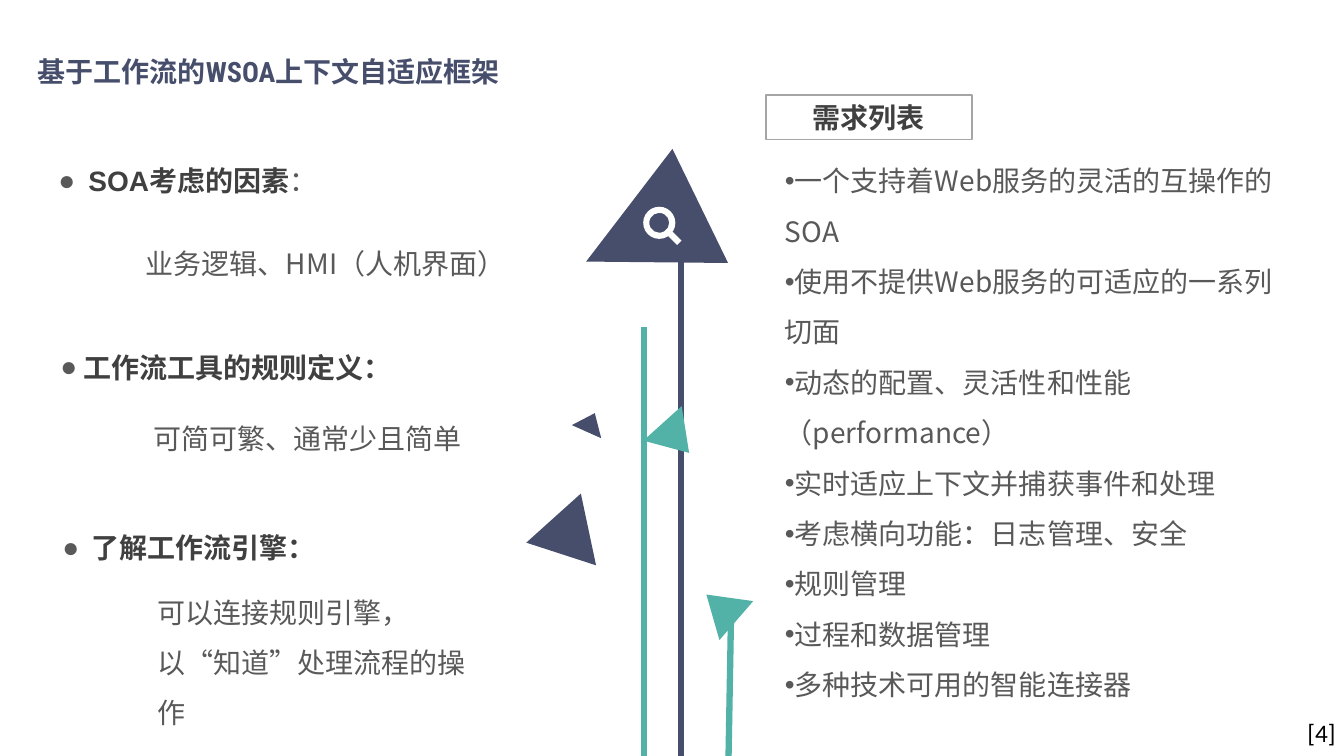
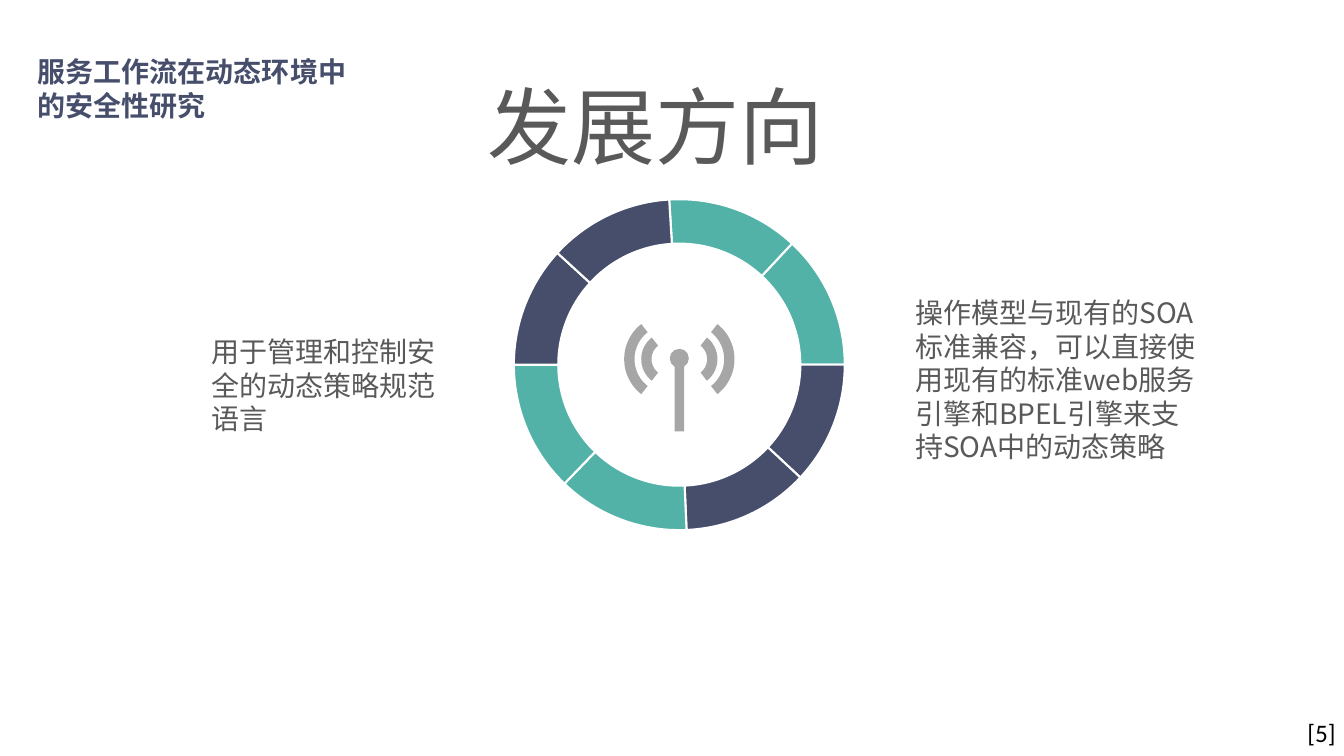
from dataclasses import dataclass
from math import cos, radians, sin

from lxml.etree import SubElement
from pptx import Presentation
from pptx.dml.color import RGBColor
from pptx.enum.shapes import MSO_CONNECTOR, MSO_SHAPE
from pptx.enum.text import MSO_ANCHOR, MSO_AUTO_SIZE, PP_ALIGN
from pptx.oxml.ns import qn
from pptx.util import Cm, Pt


@dataclass(frozen=True)
class Theme:
    """Colours, fonts and type sizes of the deck."""
    navy: str = "464E6C"
    teal: str = "52B2A7"
    ink: str = "404040"
    text: str = "595959"
    black: str = "000000"
    white: str = "FFFFFF"
    edge: str = "A5A5A5"
    icon: str = "A6A6A6"
    cjk: str = "Noto Sans CJK JP"
    title: str = "Roboto Condensed"
    head: str = "Arial"
    plain: str = "Calibri"
    body: int = 20
    page: int = 18
    large: int = 60
    stem: float = 4.5


T = Theme()


def rgb(tone):
    """Turn a hex string into a colour."""
    return RGBColor.from_string(tone)


def style(para, size, tone, face, bold=False):
    """Set the font of a whole paragraph."""
    font = para.font
    font.size, font.bold, font.name = Pt(size), bold, face
    font.color.rgb = rgb(tone)
    SubElement(para._p.pPr.find(qn("a:defRPr")), qn("a:ea"), typeface=T.cjk)


def bullet(para, mark, gap):
    """Give a paragraph a bullet with a hanging indent."""
    props = para._p.get_or_add_pPr()
    props.set("marL", str(Cm(gap)))
    props.set("indent", str(-Cm(gap)))
    tint = SubElement(props, qn("a:buClr"))
    SubElement(tint, qn("a:srgbClr"), val=T.text)
    SubElement(props, qn("a:buFont"), typeface=T.head)
    SubElement(props, qn("a:buChar"), char=mark)


def write(slide, box, lines, size=T.body, tone=T.text, face=T.cjk,
          bold=False, space=None, mark=None, gap=0, wrap=True):
    """Add a text box and return its last paragraph."""
    frame = slide.shapes.add_textbox(*map(Cm, box)).text_frame
    frame.word_wrap = wrap
    frame.auto_size = MSO_AUTO_SIZE.SHAPE_TO_FIT_TEXT
    for i, line in enumerate(lines):
        para = frame.add_paragraph() if i else frame.paragraphs[0]
        para.add_run().text = line
        if space:
            para.line_spacing = space
        if mark:
            bullet(para, mark, gap)
        style(para, size, tone, face, bold)
    return para


def paint(shape, tone):
    """Fill a shape flat, without line or shadow."""
    shape.shadow.inherit = False
    shape.fill.solid()
    shape.fill.fore_color.rgb = rgb(tone)
    shape.line.fill.background()
    return shape


def block(slide, kind, box, tone, turn=0):
    """Add a flat preset shape."""
    shape = paint(slide.shapes.add_shape(kind, *map(Cm, box)), tone)
    shape.rotation = turn
    return shape


def stem(slide, start, end, tone):
    """Draw a thick straight line."""
    line = slide.shapes.add_connector(
        MSO_CONNECTOR.STRAIGHT, *map(Cm, start + end))
    line.line.color.rgb = rgb(tone)
    line.line.width = Pt(T.stem)
    SubElement(line._element.spPr, qn("a:effectLst"))


def arc(slide, mid, inner, outer, start, end, tone):
    """Draw a ring segment, with angles clockwise from the top."""
    steps = 24
    turns = [radians(start + (end - start) * i / steps)
             for i in range(steps + 1)]
    dots = [(Cm(mid[0] + r * sin(a)), Cm(mid[1] - r * cos(a)))
            for r, run in ((outer, turns), (inner, turns[::-1])) for a in run]
    form = slide.shapes.build_freeform(*dots[0])
    form.add_line_segments(dots[1:])
    return paint(form.convert_to_shape(), tone)


def base(deck, title, wide, page):
    """Start a slide with its title and page number."""
    slide = deck.slides.add_slide(deck.slide_layouts[6])
    write(slide, (0.7, 1.25, wide, 1.9), [title], tone=T.navy,
          face=T.title, bold=True)
    write(slide, (32.7, 17.96, 1.22, 1.02), [f"[{page}]"], T.page,
          T.black, T.plain, wrap=False)
    return slide


def tree(slide, left, top):
    """Draw the stems, triangles and magnifier."""
    foot = top + 14.8
    for x, y, low, tone in ((2.73, 3.98, 2.73, T.teal),
                            (3.67, 0.65, 3.67, T.navy),
                            (4.92, 11.4, 4.86, T.teal)):
        stem(slide, (left + low, foot), (left + x, top + y), tone)
    for x, y, w, h, turn, tone in (
            (1.11, 0.04, 3.2, 3.2, 244, T.navy),
            (2.88, 6.29, 1.3, 1, 138, T.teal),
            (0.06, 8.6, 1.85, 1.6, 138, T.navy),
            (0.98, 6.14, 0.81, 0.51, 24, T.navy),
            (4.03, 10.56, 1.3, 1, 311, T.teal)):
        block(slide, MSO_SHAPE.ISOSCELES_TRIANGLE,
              (left + x, top + y, w, h), tone, turn)
    lens = block(slide, MSO_SHAPE.DONUT,
                 (left + 2.71, top + 0.96, 0.81, 0.81), T.white)
    lens.adjustments[0] = 0.19
    stem(slide, (left + 3.39, top + 1.64), (left + 3.62, top + 1.87), T.white)


def facts(slide, left, top):
    """Write the three headed points."""
    rows = (
        (0, 0, 7.2, 0.76, None, "SOA考虑的因素", "：",
         2.2, 1.66, 10, "业务逻辑、HMI（人机界面）"),
        (0.05, 4.28, 9.9, 0.58, 1.5, "工作流工具的规则定义：", "",
         2.4, 6.08, 10.6, "可简可繁、通常少且简单"),
        (0.1, 8.83, 7.3, 0.74, 1.5, "了解工作流引擎：", "",
         2.5, 10.45, 8.97, "可以连接规则引擎，以“知道”处理流程的操作"),
    )
    for x, y, w, gap, space, head, tail, dx, dy, wide, note in rows:
        para = write(slide, (left + x, top + y, w, 1.5), [head], tone=T.ink,
                     face=T.head, bold=True, space=space, mark="●", gap=gap)
        if tail:
            run = para.add_run()
            run.text = tail
            run.font.bold, run.font.name = False, T.cjk
            run.font.color.rgb = rgb(T.text)
        write(slide, (left + dx, top + dy, wide, 1.5), [note], space=1.5)


def needs(slide, left, top):
    """Write the framed label and the list of needs."""
    write(slide, (left + 0.23, top + 1.19, 13.18, 15.9), [
        "一个支持着Web服务的灵活的互操作的SOA",
        "使用不提供Web服务的可适应的一系列切面",
        "动态的配置、灵活性和性能（performance）",
        "实时适应上下文并捕获事件和处理",
        "考虑横向功能：日志管理、安全",
        "规则管理",
        "过程和数据管理",
        "多种技术可用的智能连接器",
    ], space=1.5, mark="•")
    label = block(slide, MSO_SHAPE.RECTANGLE, (left, top, 5.2, 1.12), T.white)
    label.line.color.rgb = rgb(T.edge)
    label.line.width = Pt(1)
    frame = label.text_frame
    frame.vertical_anchor = MSO_ANCHOR.MIDDLE
    para = frame.paragraphs[0]
    para.add_run().text = "需求列表"
    para.alignment = PP_ALIGN.CENTER
    style(para, T.body, T.ink, T.head, True)


def ring(slide, left, top, size):
    """Draw the ring of eight segments around the mast."""
    half = size / 2
    mid = left + half, top + half
    cuts = (-3.5, 43, 90, 133, 177.5, 224, 270, 312.5, 356.5)
    tones = (T.teal, T.teal, T.navy, T.navy) * 2
    for start, end, tone in zip(cuts, cuts[1:], tones):
        part = arc(slide, mid, 3.05, half, start, end, tone)
        part.line.color.rgb = rgb(T.white)
        part.line.width = Pt(1.5)
    mast(slide, *mid)


def mast(slide, x, y):
    """Draw the antenna with its waves about a point."""
    block(slide, MSO_SHAPE.OVAL, (x - 0.24, y - 0.4, 0.48, 0.48), T.icon)
    block(slide, MSO_SHAPE.RECTANGLE, (x - 0.12, y, 0.24, 1.68), T.icon)
    for side, face in ((1, 90), (-1, 270)):
        for inner, outer in ((0.43, 0.69), (0.86, 1.12)):
            arc(slide, (x + side * 0.27, y - 0.14), inner, outer,
                face - 52, face + 52, T.icon)


def frame_page(deck):
    """Build the slide on the adaptive framework."""
    slide = base(deck, "基于工作流的WSOA上下文自适应框架", 28.9, 4)
    tree(slide, 13.5, 4.25)
    facts(slide, 1.22, 4)
    needs(slide, 19.3, 2.39)


def trend_page(deck):
    """Build the slide on future directions."""
    slide = base(deck, "服务工作流在动态环境中的安全性研究", 8.9, 5)
    write(slide, (12.04, 1.75, 10.5, 2.8), ["发展方向"], T.large,
          face=T.plain)
    ring(slide, 12.95, 5.02, 8.34)
    write(slide, (5.08, 8.31, 6.32, 2.8),
          ["用于管理和控制安全的动态策略规范语言"])
    write(slide, (22.81, 7.32, 7.85, 4.5),
          ["操作模型与现有的SOA标准兼容，可以直接使用现有的标准web服务引擎"
           "和BPEL引擎来支持SOA中的动态策略"])


def main():
    """Build and save the deck."""
    deck = Presentation()
    deck.slide_width, deck.slide_height = Cm(33.87), Cm(19.05)
    frame_page(deck)
    trend_page(deck)
    deck.save("out.pptx")


if __name__ == "__main__":
    main()
